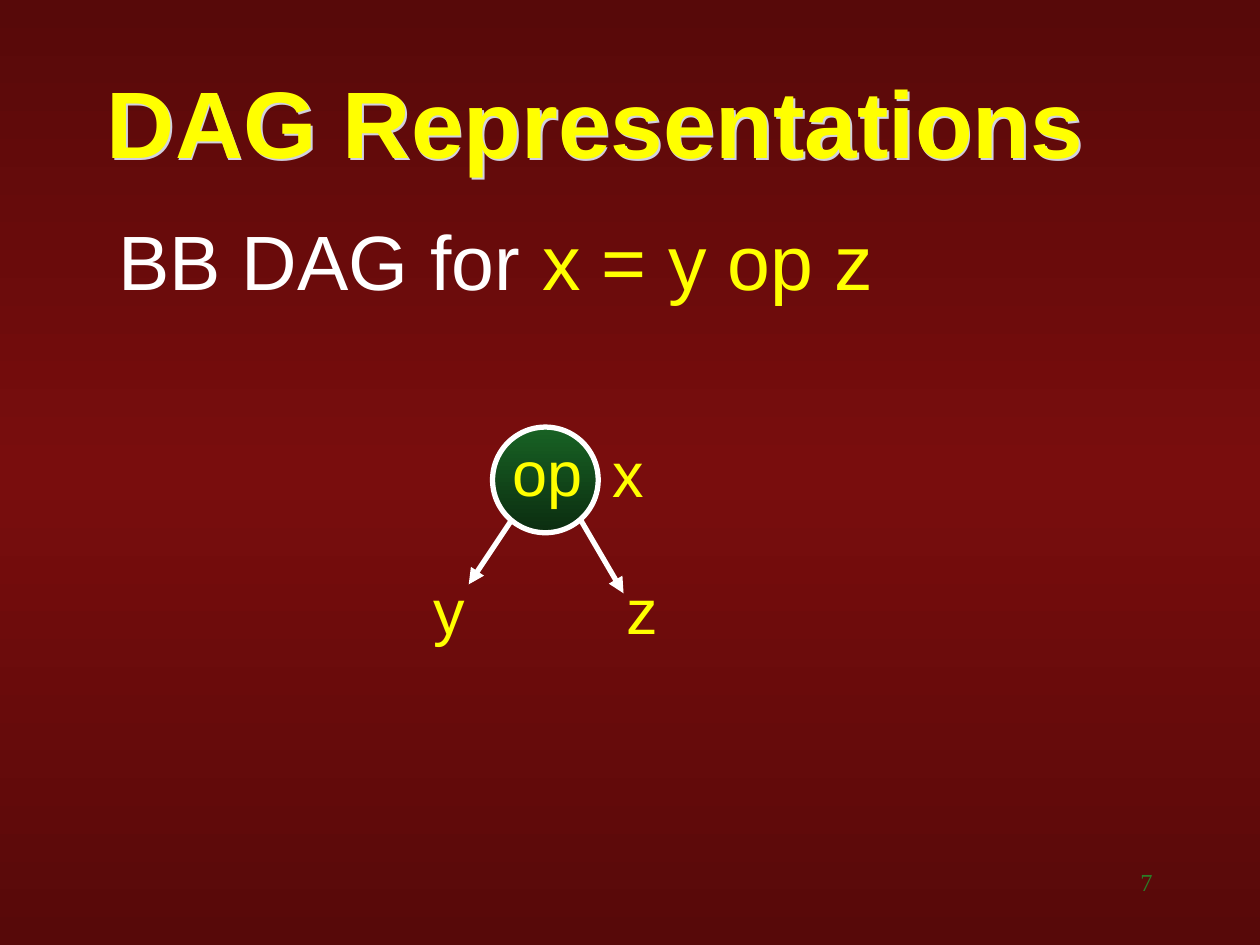
from copy import deepcopy
from typing import NamedTuple

from lxml import etree
from pptx import Presentation
from pptx.dml.color import RGBColor
from pptx.enum.shapes import MSO_CONNECTOR, MSO_SHAPE
from pptx.enum.text import MSO_ANCHOR, MSO_AUTO_SIZE, PP_ALIGN
from pptx.oxml.ns import qn
from pptx.util import Cm, Pt

STRAIGHT = MSO_CONNECTOR.STRAIGHT
OVAL = MSO_SHAPE.OVAL
TOP, MIDDLE = MSO_ANCHOR.TOP, MSO_ANCHOR.MIDDLE
GROW, FIXED = MSO_AUTO_SIZE.SHAPE_TO_FIT_TEXT, MSO_AUTO_SIZE.NONE
LEFT, RIGHT = PP_ALIGN.LEFT, PP_ALIGN.RIGHT

YELLOW, WHITE, GREEN = "FFFF00", "FFFFFF", "2B7D27"
SHADOW = "D0D0E0"
TITLE_ONLY = 5
LINE_WIDTH = Pt(3)


class Box(NamedTuple):
    left: float
    top: float
    width: float
    height: float


class Words(NamedTuple):
    text: str
    color: str


class Label(NamedTuple):
    text: str
    left: float
    top: float
    width: float = 1.14


class Arrow(NamedTuple):
    start: tuple[float, float]
    end: tuple[float, float]


LABELS = [
    Label("op", 10.08, 8.61, 2),
    Label("x", 12.1, 8.64),
    Label("y", 8.48, 11.4),
    Label("z", 12.38, 11.4),
]
ARROWS = [
    Arrow((10.29, 10.52), (9.45, 11.78)),
    Arrow((11.71, 10.49), (12.57, 11.96)),
]


def rgb(color: str) -> RGBColor:
    return RGBColor.from_string(color)


def set_all(target, values: dict) -> None:
    for name, value in values.items():
        setattr(target, name, value)


def place(box: Box) -> list:
    return [Cm(length) for length in box]


def set_gradient(fill, element, colors: list[str]) -> None:
    """Fill downwards through evenly spaced colours."""
    fill.gradient()
    fill.gradient_angle = 270
    stop_list = element.find(".//" + qn("a:gsLst"))
    while len(stop_list) < len(colors):
        stop_list.append(deepcopy(stop_list[0]))
    for index, (stop, color) in enumerate(zip(fill.gradient_stops, colors)):
        stop.position = index / (len(colors) - 1)
        stop.color.rgb = rgb(color)


def write(shape, parts: list[Words], size: float, *, font: str = "Arial",
          bold: bool = False, align=LEFT, anchor=TOP, wrap: bool = True,
          auto_size=FIXED) -> None:
    frame = shape.text_frame
    set_all(frame, {"word_wrap": wrap, "auto_size": auto_size,
                    "vertical_anchor": anchor})
    paragraph = frame.paragraphs[0]
    paragraph.alignment = align
    for part in parts:
        run = paragraph.add_run()
        run.text = part.text
        set_all(run.font, {"name": font, "size": Pt(size), "bold": bold})
        run.font.color.rgb = rgb(part.color)


def add_shadow(shape) -> None:
    """Cast a small diagonal shadow from the text of an unfilled shape."""
    shape.fill.background()
    effects = etree.SubElement(shape._element.spPr, qn("a:effectLst"))
    shadow = etree.SubElement(effects, qn("a:outerShdw"),
                              dist="18000", dir="2700000")
    etree.SubElement(shadow, qn("a:srgbClr"), val=SHADOW)


def add_label(slide, label: Label) -> None:
    box = Box(label.left, label.top, label.width, 1.78)
    shape = slide.shapes.add_textbox(*place(box))
    write(shape, [Words(label.text, YELLOW)], 36, wrap=False, auto_size=GROW)


def add_arrow(slide, arrow: Arrow) -> None:
    points = [Cm(length) for length in arrow.start + arrow.end]
    connector = slide.shapes.add_connector(STRAIGHT, *points)
    connector.line.color.rgb = rgb(WHITE)
    connector.line.width = LINE_WIDTH
    etree.SubElement(connector.line._get_or_add_ln(), qn("a:tailEnd"),
                     type="triangle")
    etree.SubElement(connector._element.spPr, qn("a:effectLst"))


def main() -> None:
    presentation = Presentation()
    set_all(presentation, {"slide_width": Cm(25.4), "slide_height": Cm(19.05)})
    slide = presentation.slides.add_slide(
        presentation.slide_layouts[TITLE_ONLY])
    set_gradient(slide.background.fill, slide.element,
                 ["570909", "790D0D", "570909"])

    # Title
    title = slide.shapes.title
    title_box = Box(1.9, 0.84, 21.59, 3.18)
    set_all(title, dict(zip(Box._fields, place(title_box))))
    write(title, [Words("DAG Representations", YELLOW)], 54,
          bold=True, anchor=MIDDLE)
    add_shadow(title)

    # Statement
    statement = slide.shapes.add_textbox(*place(Box(1.7, 4.19, 21.59, 11.43)))
    write(statement, [Words(" BB DAG for ", WHITE),
                      Words("x = y op z", YELLOW)], 44)

    # Operator node with its labels and edges
    node = slide.shapes.add_shape(OVAL, *place(Box(9.93, 8.61, 2.13, 2.13)))
    node.shadow.inherit = False
    set_gradient(node.fill, node._element, ["186224", "0B2D10"])
    node.line.color.rgb = rgb(WHITE)
    node.line.width = LINE_WIDTH
    for label in LABELS:
        add_label(slide, label)
    for arrow in ARROWS:
        add_arrow(slide, arrow)

    # Page number
    number = slide.shapes.add_textbox(*place(Box(18.21, 17.35, 5.28, 1.27)))
    write(number, [Words("7", GREEN)], 14, font="Times New Roman", align=RIGHT)

    presentation.save("out.pptx")


if __name__ == "__main__":
    main()
